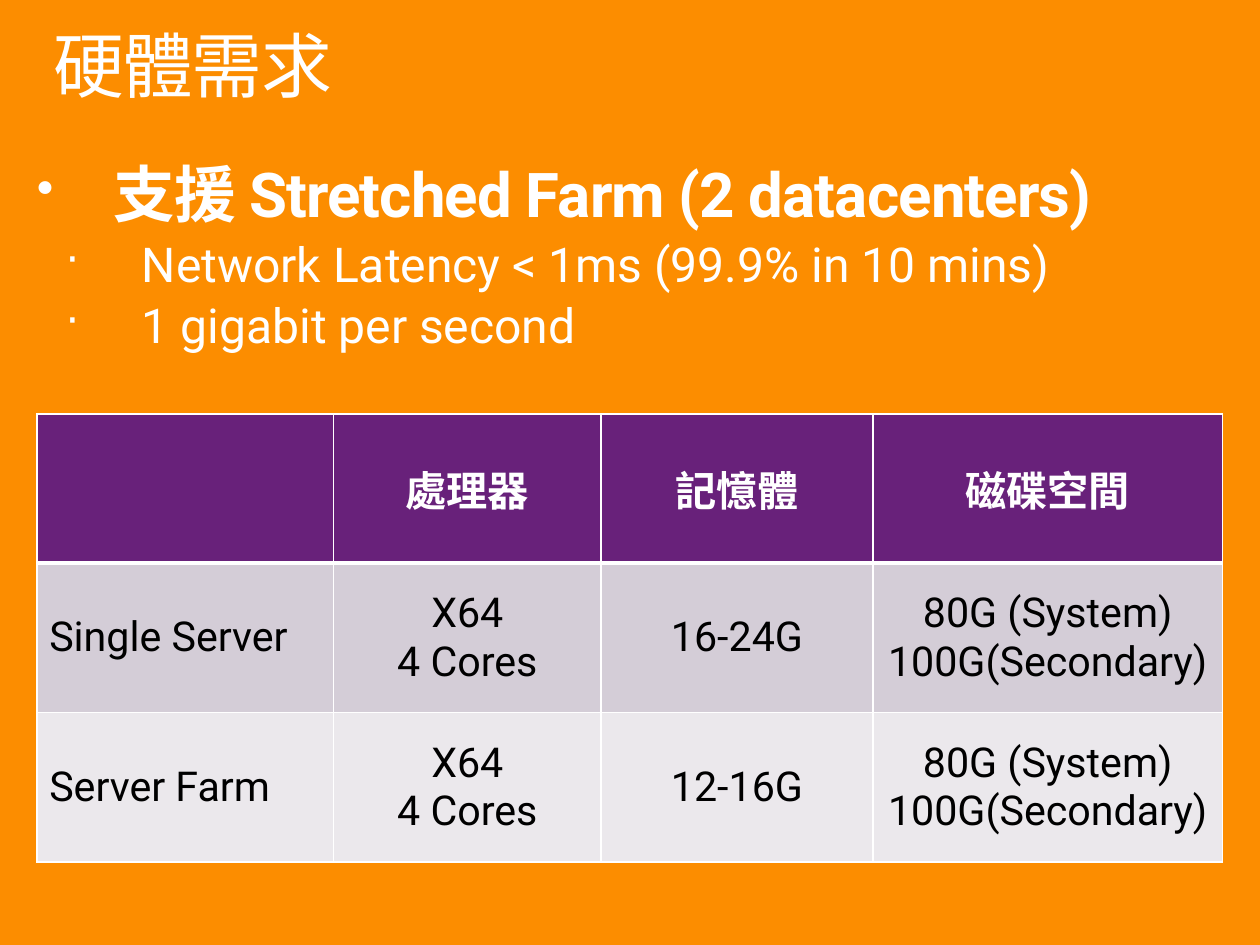
from lxml import etree
from pptx import Presentation
from pptx.dml.color import RGBColor
from pptx.enum.text import MSO_ANCHOR, MSO_AUTO_SIZE, PP_ALIGN
from pptx.oxml.ns import qn
from pptx.util import Cm, Pt

TOP, MIDDLE = MSO_ANCHOR.TOP, MSO_ANCHOR.MIDDLE
LEFT, CENTER = PP_ALIGN.LEFT, PP_ALIGN.CENTER
NO_FIT = MSO_AUTO_SIZE.NONE

# Content
FONT = "Roboto"
ORANGE, WHITE, BLACK = "FC8D00", "FFFFFF", "000000"
TITLE = "硬體需求"
# text, level
POINTS = [
    ("支援 Stretched Farm (2 datacenters)", 0),
    ("Network Latency < 1ms (99.9% in 10 mins)", 1),
    ("1 gigabit per second", 1),
]
# Per level: bullet, bullet %, indent cm, size, bold, tracking, space before
LEVELS = [
    ("•", 80, 1.57, 36, True, -50, 7.2),
    ("·", 90, 2.16, 28, False, 0, 5.6),
]
HANG = Cm(1.57)
ROWS = [
    ["", "處理器", "記憶體", "磁碟空間"],
    ["Single Server", "X64\n4 Cores", "16-24G", "80G (System)\n100G(Secondary)"],
    ["Server Farm", "X64\n4 Cores", "12-16G", "80G (System)\n100G(Secondary)"],
]
FILLS = ["68217A", "D4CDD7", "EBE8EC"]
WIDTHS = [6.1, 5.5, 5.59, 7.19]
HEIGHT = 3.07


def color(text):
    return RGBColor.from_string(text)


def style(para, size, tint, bold=False, track=0):
    for run in para.runs:
        font = run.font
        font.name, font.size, font.bold = FONT, Pt(size), bold
        font.color.rgb = color(tint)
        if track:
            font._element.set("spc", str(track))


def frame(shape):
    body = shape.text_frame
    body.margin_left = body.margin_right = 0
    body.margin_top = body.margin_bottom = 0
    body.vertical_anchor, body.word_wrap = TOP, True
    body.auto_size = NO_FIT
    return body


def bullet(para, mark, scale, left):
    props = para._p.get_or_add_pPr()
    props.set("marL", str(left))
    props.set("indent", str(-HANG))
    etree.SubElement(props, qn("a:buSzPct")).set("val", str(scale * 1000))
    etree.SubElement(props, qn("a:buChar")).set("char", mark)


def border(cell, side, width):
    line = etree.Element(qn("a:ln" + side), w=str(Pt(width)))
    fill = etree.SubElement(line, qn("a:solidFill"))
    etree.SubElement(fill, qn("a:srgbClr")).set("val", WHITE)
    return line


deck = Presentation()
deck.slide_width, deck.slide_height = Cm(25.91), Cm(19.43)
slide = deck.slides.add_slide(deck.slide_layouts[5])
slide.background.fill.solid()
slide.background.fill.fore_color.rgb = color(ORANGE)

# Title
title = slide.shapes.title
title.left, title.top = Cm(1.09), Cm(0.64)
title.width, title.height = Cm(23.7), Cm(2.11)
body = frame(title)
body.text = TITLE
para = body.paragraphs[0]
para.alignment, para.line_spacing = LEFT, 0.9
style(para, 41.3, WHITE, track=-80)

# Bullet list
box = slide.shapes.add_textbox(Cm(0.76), Cm(3.38), Cm(24.38), Cm(4.01))
body = frame(box)
body.text = "\n".join(text for text, level in POINTS)
for i, (para, (text, level)) in enumerate(zip(body.paragraphs, POINTS)):
    mark, scale, left, size, bold, track, gap = LEVELS[level]
    para.level, para.line_spacing = level, 0.9
    bullet(para, mark, scale, Cm(left))
    para.space_before = Pt(gap if i else 0)
    style(para, size, WHITE, bold, track)

# Table
grid = slide.shapes.add_table(
    len(ROWS), len(WIDTHS), Cm(0.76), Cm(8.51),
    Cm(sum(WIDTHS)), Cm(HEIGHT * len(ROWS))).table
for col, width in zip(grid.columns, WIDTHS):
    col.width = Cm(width)
for r, row in enumerate(ROWS):
    grid.rows[r].height = Cm(HEIGHT)
    head = r == 0
    for c, text in enumerate(row):
        cell = grid.cell(r, c)
        cell.text_frame.text = text
        cell.vertical_anchor = MIDDLE
        cell.fill.solid()
        cell.fill.fore_color.rgb = color(FILLS[r])
        for para in cell.text_frame.paragraphs:
            para.alignment = CENTER if c else LEFT
            style(para, 24, WHITE if head else BLACK, head)
        # Heavy rule between the header and the first row
        edges = {"L": 1, "R": 1, "T": 3 if r == 1 else 1, "B": 3 if head else 1}
        props = cell._tc.get_or_add_tcPr()
        for i, (side, width) in enumerate(edges.items()):
            props.insert(i, border(cell, side, width))

deck.save("out.pptx")
